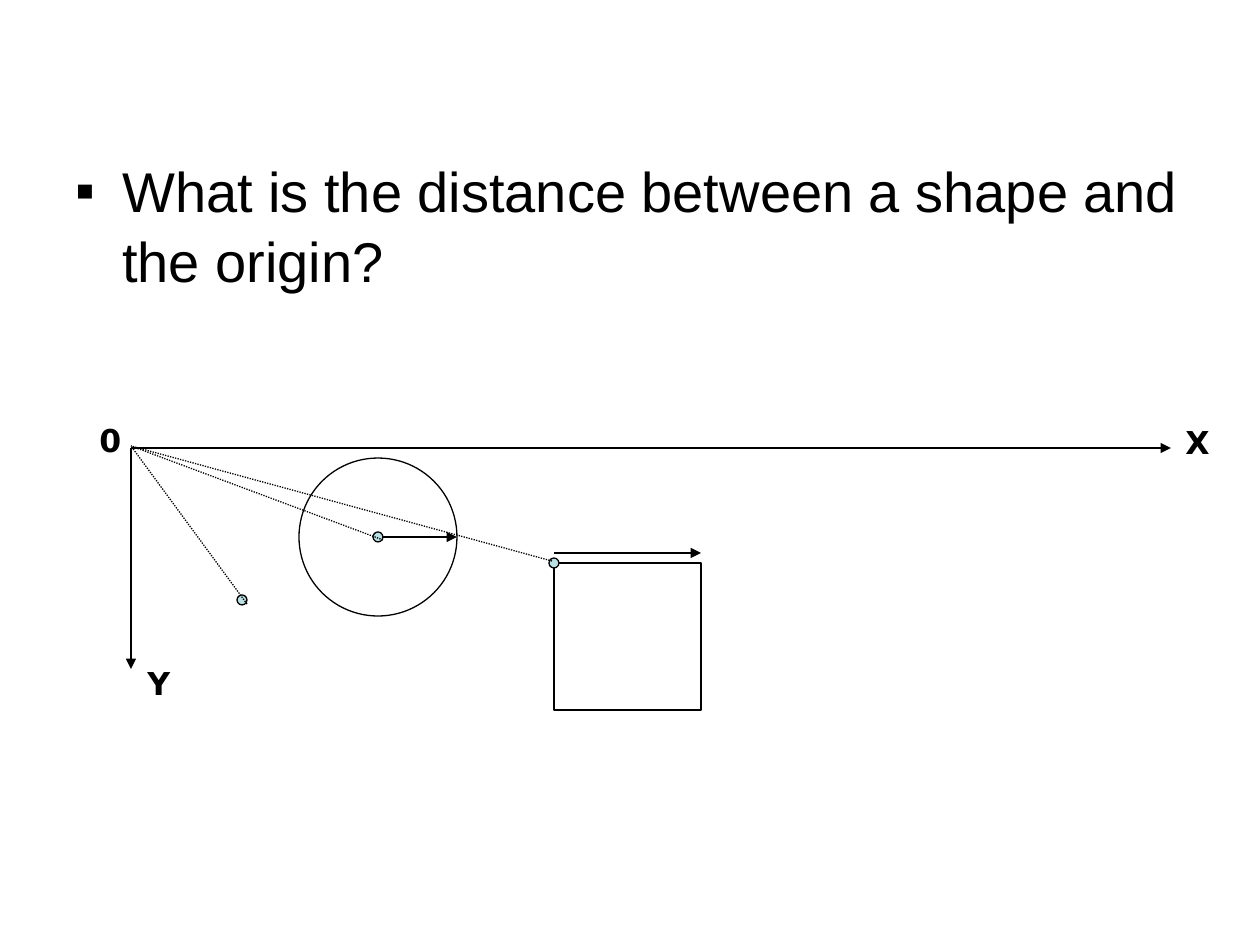
from lxml.etree import SubElement
from pptx import Presentation
from pptx.dml.color import RGBColor
from pptx.enum.dml import MSO_LINE_DASH_STYLE as DASH
from pptx.enum.shapes import MSO_CONNECTOR, MSO_SHAPE as SHAPE
from pptx.enum.text import MSO_AUTO_SIZE as FIT
from pptx.oxml.ns import qn
from pptx.util import Emu, Pt

COLORS = {"ink": "000000", "dot": "BBE0E3"}
QUESTION = "What is the distance between a shape and the origin?"
QUESTION_BOX = (63, 145, 1134, 624)
QUESTION_FONT = {"name": "Arial", "size": Pt(32)}
LABEL_FONT = {"name": "DejaVu Sans", "size": Pt(18), "bold": True}
LABELS = [("X", 1173, 417, 45), ("Y", 135, 658, 44), ("0", 87, 415, 43)]
LABEL_H = 50
INDENT = 47
DOT = 10

ORIGIN = (131, 448)
RAY_END = (131, 446)
POINT = (242, 600)
CENTER, RADIUS = (378, 537), 79
CORNER, SIDE = (554, 563), 147
ARROWS = [
    (ORIGIN, (131, 669)),
    (ORIGIN, (1171, 448)),
    ((383, 537), (CENTER[0] + RADIUS, 537)),
    ((CORNER[0], 553), (CORNER[0] + SIDE, 553)),
]
RAYS = [(247, 604), (383, 540), (552, 561)]


def px(n):
    return Emu(round(n * 914400 / 126))


def rgb(name):
    return RGBColor.from_string(COLORS[name])


def style_line(line):
    line.color.rgb = rgb("ink")
    line.width = Pt(0.75)


def add_outline(s, kind, x, y, size, fill=None):
    sp = s.shapes.add_shape(kind, *map(px, (x, y, size, size)))
    sp.shadow.inherit = False
    if fill:
        sp.fill.solid()
        sp.fill.fore_color.rgb = rgb(fill)
    else:
        sp.fill.background()
    style_line(sp.line)


def add_dot(s, center):
    x, y = center
    add_outline(s, SHAPE.OVAL, x - DOT / 2, y - DOT / 2, DOT, "dot")


def add_line(s, start, end, arrow=False):
    c = s.shapes.add_connector(MSO_CONNECTOR.STRAIGHT, *map(px, start + end))
    style_line(c.line)
    if arrow:
        SubElement(c.line._get_or_add_ln(), qn("a:tailEnd"), type="triangle")
    else:
        c.line.dash_style = DASH.ROUND_DOT
    SubElement(c._element.spPr, qn("a:effectLst"))


def add_text(s, text, box, font, wrap):
    tf = s.shapes.add_textbox(*map(px, box)).text_frame
    tf.word_wrap = wrap
    tf.auto_size = FIT.NONE if wrap else FIT.SHAPE_TO_FIT_TEXT
    p = tf.paragraphs[0]
    r = p.add_run()
    r.text = text
    r.font.color.rgb = rgb("ink")
    for key, value in font.items():
        setattr(r.font, key, value)
    return tf


def add_question(s):
    tf = add_text(s, QUESTION, QUESTION_BOX, QUESTION_FONT, True)
    tf.margin_top = px(9)
    p = tf.paragraphs[0]
    p.line_spacing = 1.04
    pPr = p._p.get_or_add_pPr()
    pPr.set("marL", str(px(INDENT)))
    pPr.set("indent", str(px(-INDENT)))
    color = SubElement(pPr, qn("a:buClr"))
    SubElement(color, qn("a:srgbClr"), val=COLORS["ink"])
    SubElement(pPr, qn("a:buFont"), typeface="Arial")
    SubElement(pPr, qn("a:buChar"), char="▪")


def main():
    prs = Presentation()
    prs.slide_width, prs.slide_height = px(1260), px(945)
    s = prs.slides.add_slide(prs.slide_layouts[6])
    add_question(s)
    add_outline(s, SHAPE.OVAL, CENTER[0] - RADIUS, CENTER[1] - RADIUS, 2 * RADIUS)
    add_outline(s, SHAPE.RECTANGLE, *CORNER, SIDE)
    for center in (POINT, CENTER, CORNER):
        add_dot(s, center)
    for start, end in ARROWS:
        add_line(s, start, end, arrow=True)
    for text, x, y, w in LABELS:
        add_text(s, text, (x, y, w, LABEL_H), LABEL_FONT, False)
    for start in RAYS:
        add_line(s, start, RAY_END)
    prs.save("out.pptx")


if __name__ == "__main__":
    main()
